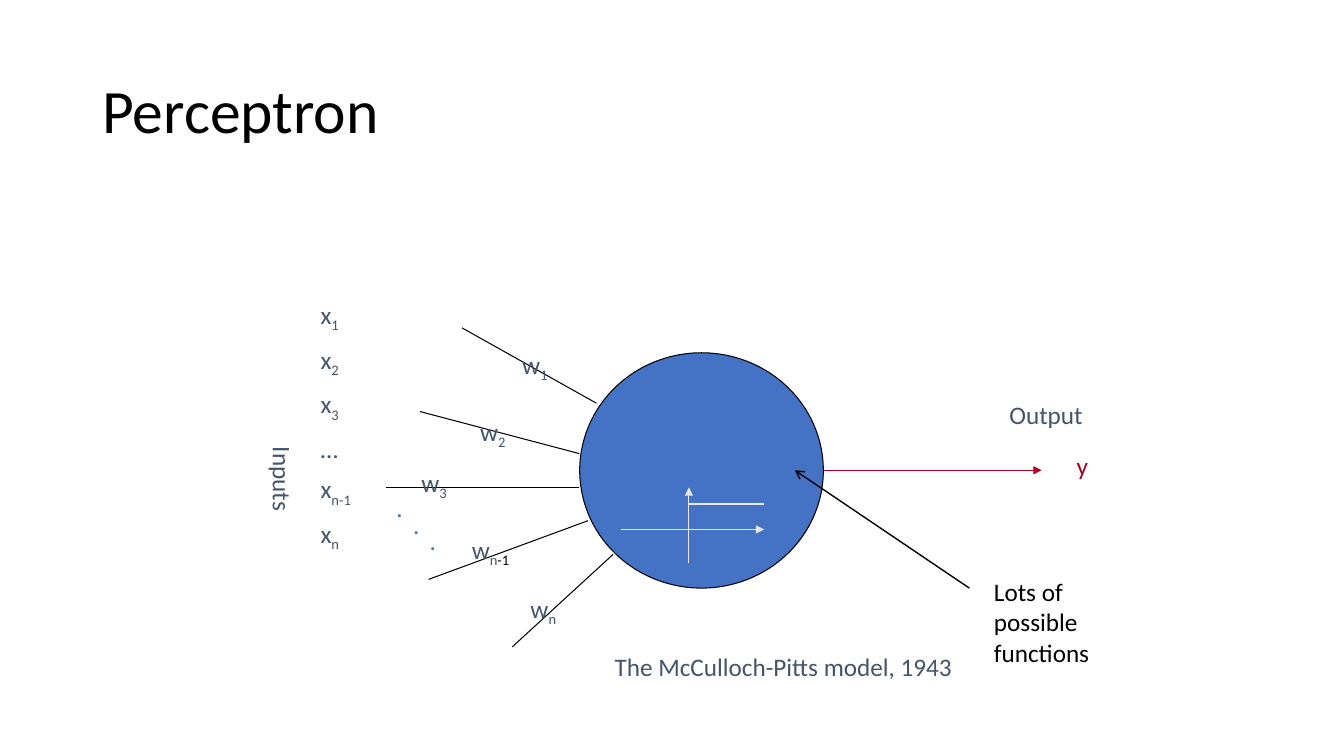
from lxml.etree import SubElement
from pptx import Presentation
from pptx.dml.color import RGBColor
from pptx.enum.shapes import MSO_CONNECTOR, MSO_SHAPE
from pptx.enum.text import MSO_ANCHOR
from pptx.oxml.ns import qn
from pptx.util import Cm, Pt

BLACK = "000000"
SLATE = "44546A"
BLUE = "4472C4"
RED = "A50021"
PALE = "E7E6E6"
LABEL_HEIGHT = 1.03

SYNAPSES = [
    ("w_1", "", (15.03, 10.16), (11.64, 8.26), (12.91, 8.68)),
    ("w_2", "", (14.6, 11.43), (10.58, 10.37), (11.85, 10.37)),
    ("w_3", "", (14.6, 12.28), (9.74, 12.28), (10.37, 11.64)),
    ("w_n", "-1", (14.82, 13.12), (10.8, 14.6), (11.64, 13.34)),
    ("w_n", "", (15.45, 13.97), (12.91, 16.3), (13.12, 14.82)),
]


def rgb(color):
    return RGBColor.from_string(color)


def add_span(para, text, size, color, subscript=False):
    span = para.add_run()
    span.text = text
    span.font.name = "Calibri"
    span.font.size = Pt(size)
    span.font.color.rgb = rgb(color)
    if subscript:
        span.font._element.set("baseline", "-25000")


def add_text(page, text, left, top, width, height=LABEL_HEIGHT, *, size=18,
             color=SLATE, black_subscript="", anchor=MSO_ANCHOR.TOP,
             line_spacing=1.0, space_before=7.3, vertical=False):
    box = page.shapes.add_textbox(Cm(left), Cm(top), Cm(width), Cm(height))
    frame = box.text_frame
    frame.word_wrap = True
    frame.vertical_anchor = anchor
    if vertical:
        frame._txBody.bodyPr.set("vert", "eaVert")
    for index, line in enumerate(text.split("\n")):
        para = frame.add_paragraph() if index else frame.paragraphs[0]
        para.line_spacing = line_spacing
        if index:
            para.space_before = Pt(space_before)
        base, _, subscript = line.partition("_")
        add_span(para, base, size, color)
        if subscript:
            add_span(para, subscript, size, color, subscript=True)
        if black_subscript:
            add_span(para, black_subscript, size, BLACK, subscript=True)


def add_line(page, start, end, color=BLACK, width=0.75, arrow=None):
    line = page.shapes.add_connector(
        MSO_CONNECTOR.STRAIGHT, *(Cm(value) for value in start + end))
    line.line.color.rgb = rgb(color)
    line.line.width = Pt(width)
    properties = line._element.spPr
    if arrow:
        SubElement(properties.find(qn("a:ln")), qn("a:tailEnd"), type=arrow)
    SubElement(properties, qn("a:effectLst"))


def add_neuron(page):
    neuron = page.shapes.add_shape(
        MSO_SHAPE.OVAL, Cm(14.61), Cm(8.89), Cm(6.14), Cm(5.93))
    neuron.shadow.inherit = False
    neuron.fill.solid()
    neuron.fill.fore_color.rgb = rgb(BLUE)
    neuron.line.color.rgb = rgb(BLACK)
    neuron.line.width = Pt(0.75)


def add_step_function(page):
    add_line(page, (15.66, 13.34), (19.26, 13.34), PALE, arrow="triangle")
    add_line(page, (17.36, 14.18), (17.36, 12.28), PALE, arrow="triangle")
    add_line(page, (17.36, 12.7), (19.26, 12.7), PALE)


def add_inputs(page):
    add_text(page, "Inputs", 6.37, 11.01, 1.27, 4.23, vertical=True)
    add_text(page, "x_1\nx_2\nx_3\n…\nx_n-1\nx_n", 7.83, 7.42, 2.33, 6.81)
    for label, black_subscript, start, end, corner in SYNAPSES:
        add_line(page, start, end)
        add_text(page, label, *corner, 2.11, black_subscript=black_subscript)
    for index in range(3):
        offset = 0.42 * index
        add_text(page, ".", 9.74 + offset, 12.28 + offset, 0.85, color=BLUE)


def add_output(page):
    add_line(page, (20.75, 11.85), (26.25, 11.85), RED, arrow="triangle")
    add_text(page, "Output", 25.19, 9.95, 3.39)
    add_text(page, "y", 26.88, 11.22, 1.27, color=RED)


def main():
    deck = Presentation()
    deck.slide_width = Cm(33.87)
    deck.slide_height = Cm(19.05)
    page = deck.slides.add_slide(deck.slide_layouts[6])

    add_text(page, "Perceptron", 2.33, 1.02, 29.21, 3.68, size=44, color=BLACK,
             anchor=MSO_ANCHOR.MIDDLE, line_spacing=0.9)
    add_text(page, "The McCulloch-Pitts model, 1943", 15.24, 16.3, 11.64)
    add_neuron(page)
    add_inputs(page)
    add_output(page)
    add_step_function(page)
    add_line(page, (24.43, 14.82), (20.03, 11.85), width=1, arrow="arrow")
    add_text(page, "Lots of possible functions", 24.8, 14.4, 4.08, 2.56,
             color=BLACK)

    deck.save("out.pptx")


if __name__ == "__main__":
    main()
